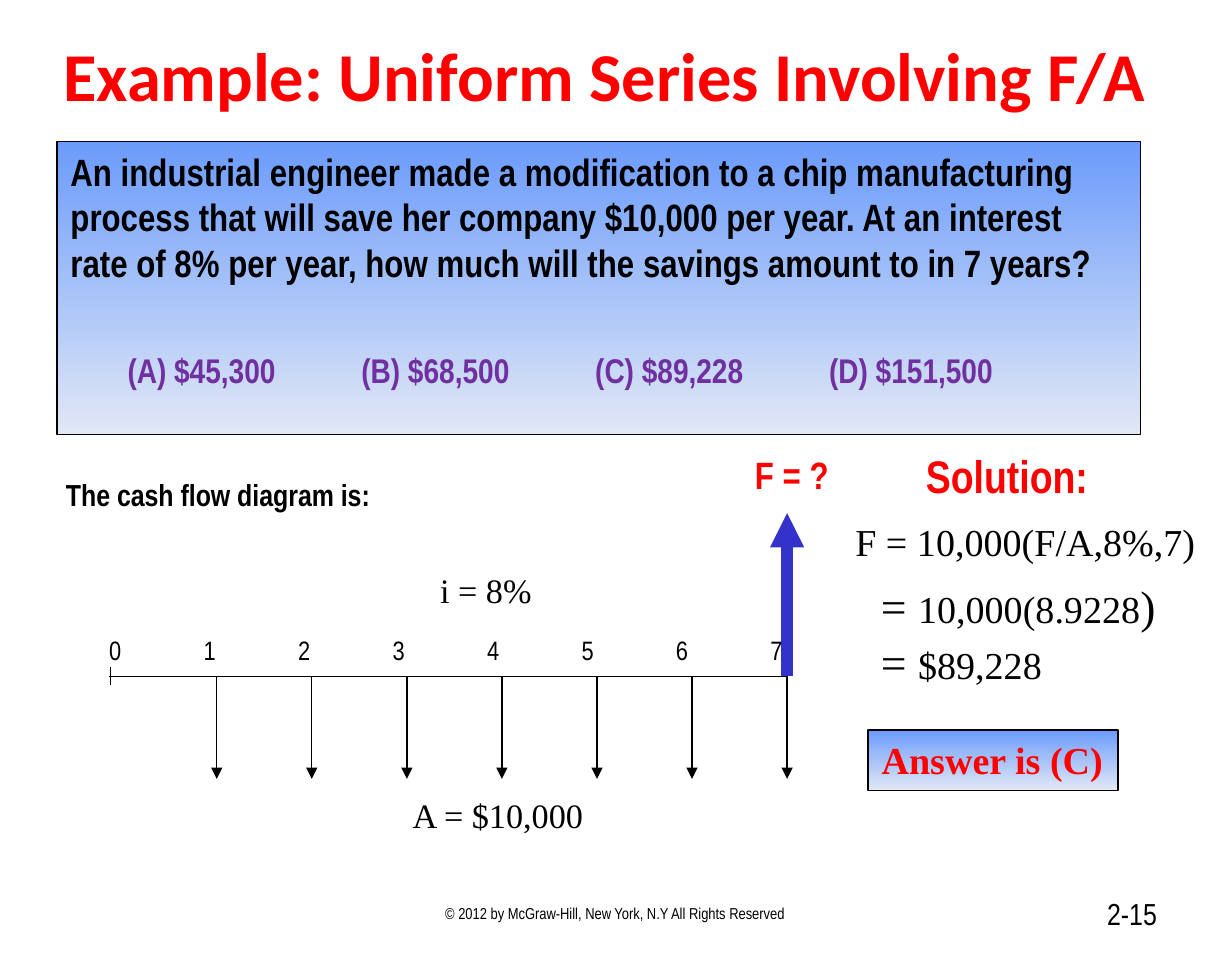
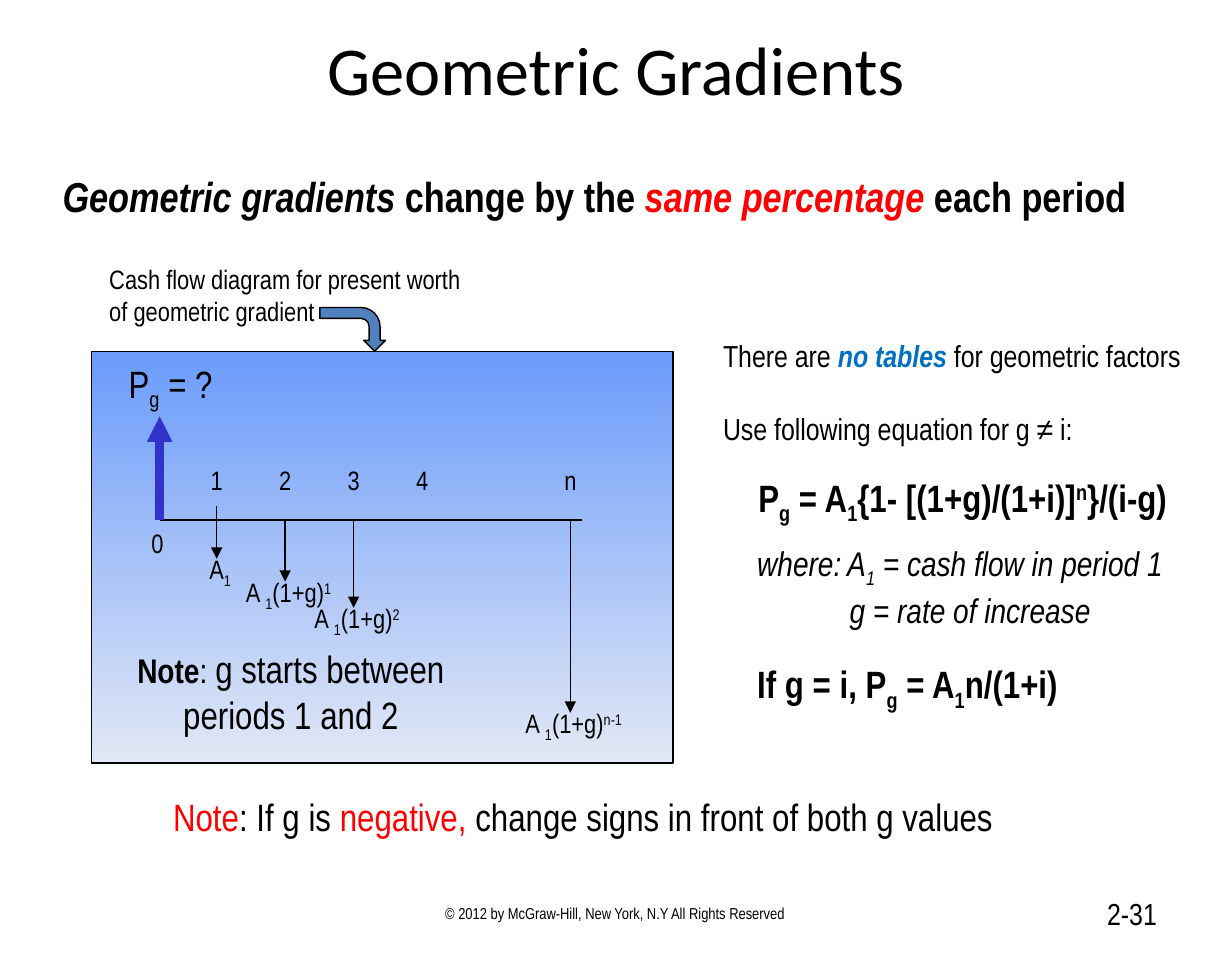
from collections import namedtuple

from lxml.etree import SubElement
from pptx import Presentation
from pptx.dml.color import RGBColor
from pptx.enum.shapes import MSO_CONNECTOR, MSO_SHAPE
from pptx.enum.text import MSO_ANCHOR, PP_ALIGN
from pptx.oxml.ns import qn
from pptx.util import Inches, Pt

COLORS = {
    "black": "000000",
    "red": "FF0000",
    "purple": "7030A0",
    "azure": "0070C0",
    "arrow": "3333CC",
    "steel": "4F81BD",
    "panel_top": "6B9BFB",
    "panel_bottom": "E1E8F5",
}
NARROW, SERIF, TITLE_FONT = "Arial Narrow", "Times New Roman", "Calibri"
COLUMNS, ROWS = 108, 84
CELL = 1 / 12
COPYRIGHT = "© 2012 by McGraw-Hill, New York, N.Y All Rights Reserved"
LEFT, CENTER, RIGHT = PP_ALIGN.LEFT, PP_ALIGN.CENTER, PP_ALIGN.RIGHT
BOLD, ITALIC = {"bold": True}, {"italic": True}
SUB, SUPER = {"baseline": -25000}, {"baseline": 30000}


class Box(namedtuple("Box", "left top width height")):
    """A region measured in grid columns and rows."""

    def inner(self, left, top, width, height):
        """Return a box placed relative to this one."""
        return Box(self.left + left, self.top + top, width, height)

    def lengths(self):
        """Return the four measures as slide lengths."""
        return [cells(value) for value in self]


def cells(count):
    """Turn grid cells into a length."""
    return Inches(count * CELL)


def color(name):
    """Look up a colour by its name."""
    return RGBColor.from_string(COLORS[name])


def set_tabs(paragraph, pitch, count):
    """Give a paragraph left tab stops at an equal pitch."""
    tab_list = SubElement(paragraph._p.get_or_add_pPr(), qn("a:tabLst"))
    for index in range(1, count + 1):
        SubElement(tab_list, qn("a:tab"), pos=str(cells(index * pitch)), algn="l")


def fill_paragraph(paragraph, runs, style):
    """Write runs, each a string or a pair of string and changed style."""
    for part in [runs] if isinstance(runs, str) else runs:
        text, changes = (part, {}) if isinstance(part, str) else part
        look = {**style, **changes}
        run = paragraph.add_run()
        run.text = text
        run.font.name = look.get("font", NARROW)
        run.font.size = Pt(look["size"])
        run.font.bold = look.get("bold", False)
        run.font.italic = look.get("italic", False)
        run.font.color.rgb = color(look.get("color", "black"))
        if "baseline" in look:
            run._r.get_or_add_rPr().set("baseline", str(look["baseline"]))


def add_text(slide, box, paragraphs, align=LEFT, anchor=MSO_ANCHOR.TOP, **style):
    """Add a text box with one list of runs per paragraph."""
    frame = slide.shapes.add_textbox(*box.lengths()).text_frame
    frame.word_wrap = True
    frame.vertical_anchor = anchor
    for index, runs in enumerate(paragraphs):
        paragraph = frame.add_paragraph() if index else frame.paragraphs[0]
        paragraph.alignment = align
        fill_paragraph(paragraph, runs, style)
    return frame


def add_tabbed(slide, box, words, pitch, **style):
    """Add one line of words set at an equal pitch."""
    frame = add_text(slide, box, [], **style)
    set_tabs(frame.paragraphs[0], pitch, len(words) - 1)
    fill_paragraph(frame.paragraphs[0], "\t".join(words), style)


def outline(shape, name="black", width=0.75):
    """Set the line of a shape or connector."""
    shape.line.color.rgb = color(name)
    shape.line.width = Pt(width)


def add_panel(slide, box):
    """Add a rectangle with the shared blue gradient."""
    panel = slide.shapes.add_shape(MSO_SHAPE.RECTANGLE, *box.lengths())
    panel.shadow.inherit = False
    panel.fill.gradient()
    panel.fill.gradient_angle = 270
    for stop, name in zip(panel.fill.gradient_stops, ("panel_top", "panel_bottom")):
        stop.color.rgb = color(name)
    outline(panel)
    return panel


def add_line(slide, box, start, end, name="black", width=0.75, arrow=True):
    """Add a straight line between two points of a box."""
    points = [cells(box[axis] + point[axis]) for point in (start, end) for axis in (0, 1)]
    line = slide.shapes.add_connector(MSO_CONNECTOR.STRAIGHT, *points)
    outline(line, name, width)
    properties = line._element.spPr
    if arrow:
        SubElement(properties.find(qn("a:ln")), qn("a:tailEnd"), type="triangle")
    SubElement(properties, qn("a:effectLst"))


def add_frame(presentation, title_box, title, number, **style):
    """Start a blank slide with its title, copyright line and number."""
    slide = presentation.slides.add_slide(presentation.slide_layouts[6])
    middle = {"anchor": MSO_ANCHOR.MIDDLE}
    add_text(slide, title_box, [title], CENTER, font=TITLE_FONT, size=36, **middle, **style)
    footer = Box(36.8, 77.9, 65.8, 4.4)
    add_text(slide, footer.inner(0, 0, 34.2, 4.4), [COPYRIGHT], CENTER, size=8.3, **middle)
    add_text(slide, footer.inner(40.6, 0, 25.2, 4.4), [number], RIGHT, size=16, **middle)
    return slide


def add_question(slide, box):
    """Add the question panel with its four choices."""
    add_panel(slide, box)
    question = (
        "An industrial engineer made a modification to a chip manufacturing process "
        "that will save her company $10,000 per year. At an interest rate of 8% per "
        "year, how much will the savings amount to in 7 years?"
    )
    add_text(slide, box.inner(0, 0, box.width, 13.2), [question], size=20, bold=True)
    choices = ["(A) $45,300", "(B) $68,500", "(C) $89,228", "(D) $151,500"]
    add_tabbed(slide, box.inner(5, 17.6, 85, 4.8), choices, 20.5,
               size=18, bold=True, color="purple")


def add_uniform_diagram(slide, box):
    """Add the uniform series cash flow diagram."""
    axis, first, last, periods = 20.3, 14.2, 64.2, 7
    pitch = (last - first) / (periods - 1)
    add_text(slide, box.inner(-0.2, 2.2, 42, 5), ["The cash flow diagram is:"],
             size=16, bold=True)
    add_line(slide, box, (last, axis), (4.8, axis), arrow=False)
    add_line(slide, box, (4.9, axis - 0.8), (4.9, axis + 0.8), arrow=False)
    for period in range(periods):
        across = first + period * pitch
        add_line(slide, box, (across, axis), (across, axis + 9))
    add_line(slide, box, (last, axis), (last, 6), "arrow", 6)
    add_tabbed(slide, box.inner(3.6, 16, 66, 4.1),
               [str(period) for period in range(periods + 1)], 8.28, size=14)
    add_text(slide, box.inner(60.2, 0, 10, 5.3), ["F = ?"], size=20, bold=True, color="red")
    add_text(slide, box.inner(32.6, 10.3, 14, 4.8), ["i = 8%"], font=SERIF, size=18)
    add_text(slide, box.inner(30.2, 30.1, 20, 4.8), ["A = $10,000"], font=SERIF, size=18)


def add_solution(slide, box):
    """Add the worked solution and its answer."""
    large = {"size": 24}
    add_text(slide, box.inner(6.2, 0, 19, 6), ["Solution:"], size=24, bold=True, color="red")
    steps = [
        (0, 6.2, ["F = 10,000(F/A,8%,7)"]),
        (2.25, 11.4, [("= ", large), "10,000(8.9228", (")", large)]),
        (2.25, 16.3, [("= ", large), "$89,228"]),
    ]
    for left, top, runs in steps:
        add_text(slide, box.inner(left, top, 34 - left, 6), [runs], font=SERIF, size=20)
    frame = add_panel(slide, box.inner(2.3, 25.3, 21.9, 5.3)).text_frame
    frame.word_wrap = False
    frame.vertical_anchor = MSO_ANCHOR.TOP
    frame.paragraphs[0].alignment = LEFT
    fill_paragraph(frame.paragraphs[0], "Answer is (C)",
                   {"font": SERIF, "size": 20, "bold": True, "color": "red"})


def add_gradient_diagram(slide, box):
    """Add the geometric gradient cash flow diagram."""
    axis, origin = 14.8, 6
    add_text(slide, box.inner(0.4, -8.3, 36, 6.8),
             ["Cash flow diagram for present worth", "of geometric gradient"], size=14)
    pointer = slide.shapes.add_shape(
        MSO_SHAPE.BENT_ARROW, *box.inner(21, -4.8, 3.84, 5.76).lengths())
    pointer.rotation = 90
    pointer.shadow.inherit = False
    pointer.fill.solid()
    pointer.fill.fore_color.rgb = color("steel")
    outline(pointer)
    add_panel(slide, box)
    add_line(slide, box, (origin, axis), (43, axis), arrow=False)
    add_line(slide, box, (origin, axis), (origin, 5.7), "arrow", 4.5)
    add_text(slide, box.inner(2.1, 0.2, 13, 5.8), [["P", ("g", SUB), " = ?"]], size=20)
    add_text(slide, box.inner(origin - 2.2, axis, 4, 4), ["0"], CENTER, size=14)
    growth = ["A ", ("1", SUB), "(1+g)"]
    flows = [
        ("1", 11, axis - 1.2, 18.2, ["A", ("1", SUB)]),
        ("2", 17, axis, 20.2, growth + [("1", SUPER)]),
        ("3", 23, axis, 22.5, growth + [("2", SUPER)]),
        ("4", 29, axis, None, None),
        ("n", 42, axis, 31.7, growth + [("n-1", SUPER)]),
    ]
    for period, across, start, end, amount in flows:
        add_text(slide, box.inner(across - 2, 9.3, 4, 4), [period], CENTER, size=14)
        if end:
            add_line(slide, box, (across, start), (across, end))
            add_text(slide, box.inner(across - 5.7, end - 1.1, 12, 4.4),
                     [amount], CENTER, size=14)
    note = [[("Note", {"size": 18, "bold": True}), (": ", {"size": 18}), "g starts between"],
            "periods 1 and 2"]
    add_text(slide, box.inner(2.2, 25.2, 30.6, 9.2), note, CENTER, size=20)


def add_formulas(slide, box):
    """Add the column of formulas for geometric factors."""
    remarks = add_text(slide, box.inner(0, 0, 45, 11), [
        ["There are ", ("no tables ", {**BOLD, **ITALIC, "color": "azure"}),
         "for geometric factors"],
        "Use following equation for g ≠ i:",
    ], size=16)
    remarks.paragraphs[1].space_before = Pt(19)
    add_text(slide, box.inner(3.1, 12, 41, 5.8), [
        ["P", ("g", SUB), " = A", ("1", SUB), "{1- [(1+g)/(1+i)]", ("n", SUPER), "}/(i-g)"],
    ], size=20, bold=True)
    strong = {"size": 20, "italic": False, "bold": True}
    low = {**strong, **SUB}
    terms = add_text(slide, box.inner(3, 18, 41, 16.3), [
        ["where: A", ("1", SUB), " = cash flow in period 1"],
        "g = rate of increase",
        [("If g = i, P", strong), ("g", low), (" = A", strong), ("1", low),
         ("n/(1+i)", strong)],
    ], size=18, italic=True)
    terms.paragraphs[1]._p.get_or_add_pPr().set("marL", str(cells(8.1)))
    terms.paragraphs[2].space_before = Pt(16)


def build_uniform_series(presentation):
    """Build the uniform series example."""
    slide = add_frame(presentation, Box(4, 2, 98, 9), "Example: Uniform Series Involving F/A",
                      "2-15", bold=True, color="red")
    add_question(slide, Box(5, 12.4, 95, 25.7))
    add_uniform_diagram(slide, Box(4.8, 39, 70, 35))
    add_solution(slide, Box(73.8, 38.7, 34, 31))


def build_geometric_gradients(presentation):
    """Build the geometric gradients slide."""
    slide = add_frame(presentation, Box(8, 2, 92, 8), "Geometric Gradients", "2-31")
    accent = {"color": "red"}
    add_text(slide, Box(4.3, 14.4, 100, 5.6), [
        [("Geometric gradients", ITALIC), " change by the ",
         ("same percentage", {**ITALIC, **accent}), " each period"],
    ], size=22, bold=True)
    add_gradient_diagram(slide, Box(8, 30.8, 51, 36.1))
    add_formulas(slide, Box(62.2, 29, 45, 35))
    add_text(slide, Box(14, 69, 78, 5.3), [
        [("Note", accent), ": If g is ", ("negative, ", accent),
         "change signs in front of both g values"],
    ], size=20)


def main():
    """Build and save the presentation."""
    presentation = Presentation()
    presentation.slide_width = cells(COLUMNS)
    presentation.slide_height = cells(ROWS)
    build_uniform_series(presentation)
    build_geometric_gradients(presentation)
    presentation.save("out.pptx")


if __name__ == "__main__":
    main()
